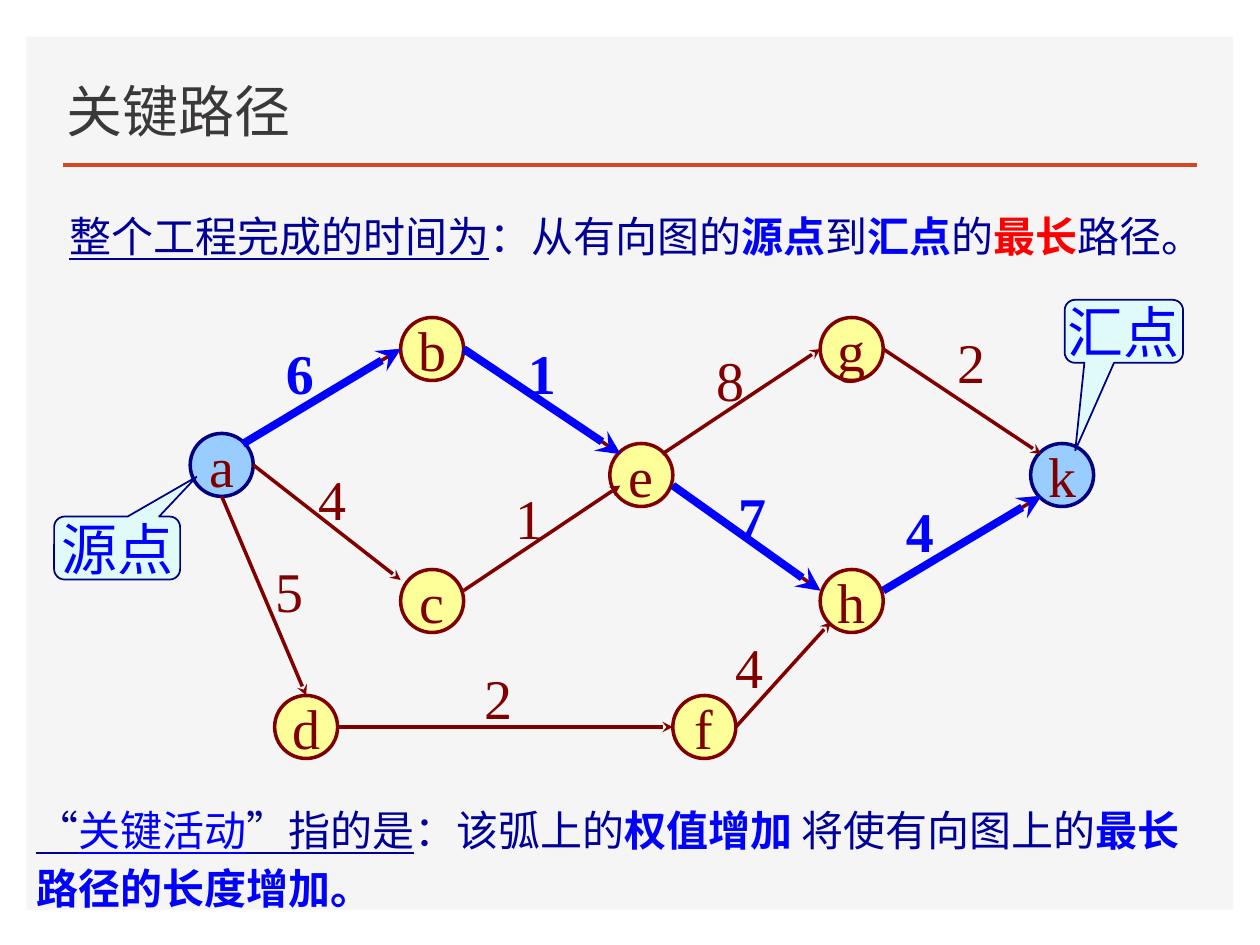
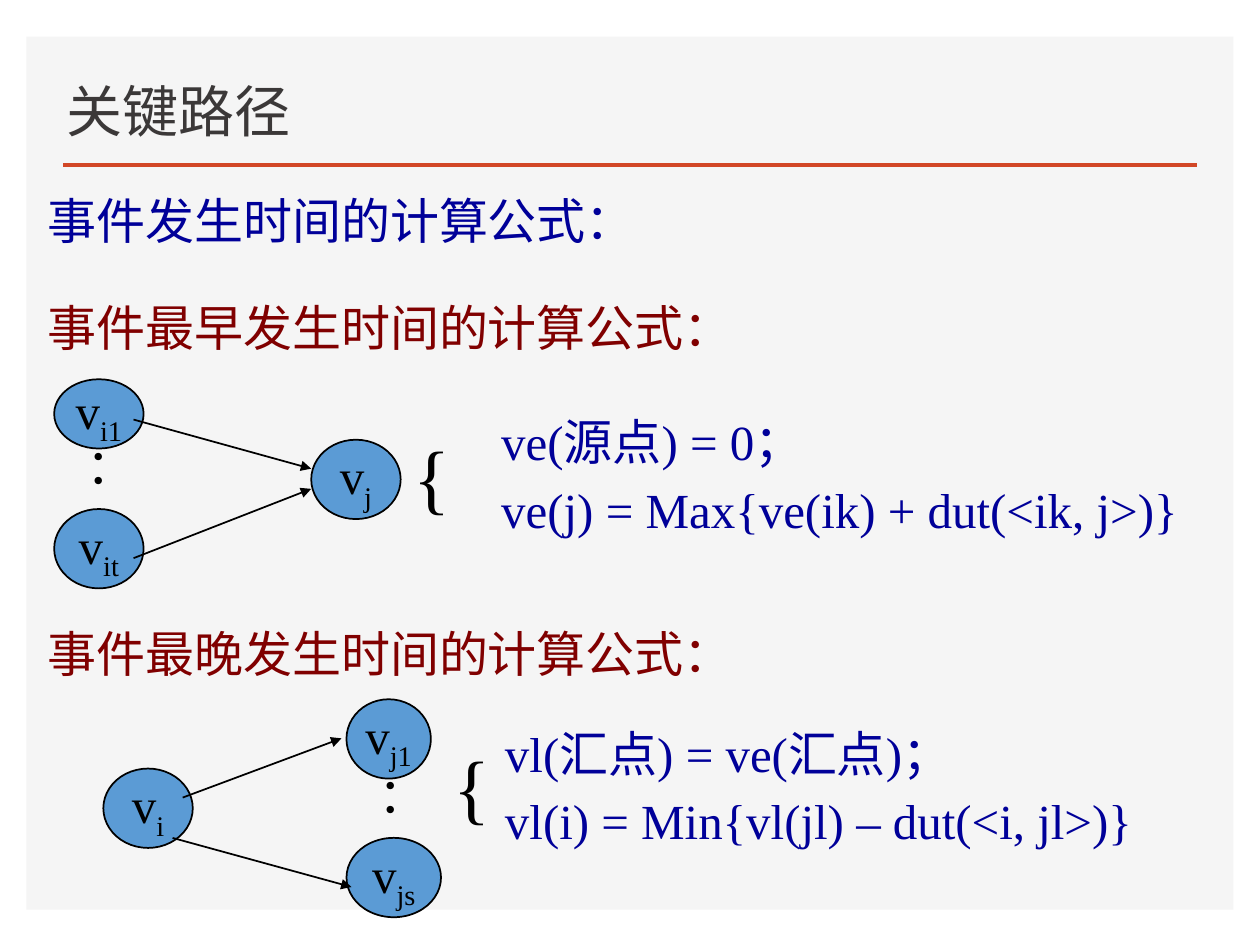
from lxml import etree
from pptx import Presentation
from pptx.dml.color import RGBColor
from pptx.enum.lang import MSO_LANGUAGE_ID
from pptx.enum.shapes import MSO_CONNECTOR, MSO_SHAPE
from pptx.enum.text import MSO_ANCHOR, MSO_AUTO_SIZE, PP_ALIGN
from pptx.oxml.ns import qn
from pptx.util import Inches, Pt

RECT = MSO_SHAPE.RECTANGLE
OVAL = MSO_SHAPE.OVAL
CALLOUT = MSO_SHAPE.ROUNDED_RECTANGULAR_CALLOUT
STRAIGHT = MSO_CONNECTOR.STRAIGHT
CHINESE = MSO_LANGUAGE_ID.SIMPLIFIED_CHINESE
CENTER, LEFT = PP_ALIGN.CENTER, PP_ALIGN.LEFT
MIDDLE, TOP, BOTTOM = MSO_ANCHOR.MIDDLE, MSO_ANCHOR.TOP, MSO_ANCHOR.BOTTOM
GROW, FIXED = MSO_AUTO_SIZE.SHAPE_TO_FIT_TEXT, MSO_AUTO_SIZE.NONE

SERIF, SANS = "Times New Roman", "Karla"
PANEL, ACCENT, TITLE = "F5F5F5", "D24726", "3B3838"
NAVY, INK, BLUE = "000080", "000099", "0000FF"
MAROON, RED, BLACK = "800000", "FF0000", "000000"
YELLOW, SKY, AQUA, STEEL = "FFFF99", "99CCFF", "CCFFFF", "5B9BD5"

NODE = 0.5
NODES = {
    "a": (1.51, 3.44), "b": (3.18, 2.52), "c": (3.18, 4.52),
    "d": (2.18, 5.52), "e": (4.84, 3.52), "f": (5.34, 5.52),
    "g": (6.51, 2.52), "h": (6.51, 4.52), "k": (8.18, 3.52),
}
ENDS = "ak"
PORTS = {
    "N": (3, 0), "E": (6, 3), "S": (3, 6), "W": (0, 3),
    "NE": (5, 1), "NW": (1, 1), "SW": (1, 5), "WNW": (0, 1),
    "ENE": (6, 2), "ESE": (6, 4), "W-": (0, 2), "WSW": (1, 4),
}
EDGES = [
    ("a", "NE", "b", "W", "6", (2.17, 2.64), True),
    ("a", "E", "c", "WNW", "4", (2.43, 3.64), False),
    ("c", "ENE", "e", "WSW", "1", (3.99, 3.79), False),
    ("b", "E", "e", "NW", "1", (4.09, 2.64), True),
    ("e", "NE", "g", "W", "8", (5.59, 2.69), False),
    ("g", "E", "k", "NW", "2", (7.5, 2.55), False),
    ("h", "ENE", "k", "SW", "4", (7.09, 3.89), True),
    ("e", "ESE", "h", "W-", "7", (5.76, 3.77), True),
    ("a", "S", "d", "N", "5", (2.09, 4.37), False),
    ("d", "E", "f", "W", "2", (3.75, 5.22), False),
    ("f", "E", "h", "SW", "4", (5.74, 4.97), False),
]


def rgb(value):
    """Turn a hex string into a colour."""
    return RGBColor.from_string(value)


def inches(*values):
    """Convert numbers to lengths in inches."""
    return [Inches(v) for v in values]


def write(tf, lines, size, font=SERIF, align=LEFT, spacing=None):
    """Fill a frame with lines, each a list of (text, colour, marks) runs."""
    for i, runs in enumerate(lines):
        p = tf.add_paragraph() if i else tf.paragraphs[0]
        p.alignment = align
        if spacing:
            p.line_spacing = spacing
        for text, color, marks in runs:
            r = p.add_run()
            r.text = text
            r.font.size, r.font.name = Pt(size), font
            r.font.color.rgb = rgb(color)
            r.font.language_id = CHINESE
            r.font.bold = "b" in marks
            r.font.underline = "u" in marks
            if "s" in marks:
                r._r.get_or_add_rPr().set("baseline", "-25000")


def add_text(s, at, lines, size, font=SERIF, wrap=True, spacing=None,
             anchor=TOP, fit=GROW):
    """Add a text box and return its frame."""
    tf = s.shapes.add_textbox(*inches(*at)).text_frame
    tf.word_wrap, tf.auto_size, tf.vertical_anchor = wrap, fit, anchor
    write(tf, lines, size, font, spacing=spacing)
    return tf


def add_shape(s, kind, at, fill, line=None, width=1, runs=(), size=32):
    """Add a flat preset shape with centred text."""
    sp = s.shapes.add_shape(kind, *inches(*at))
    sp.shadow.inherit = False
    sp.fill.solid()
    sp.fill.fore_color.rgb = rgb(fill)
    if line:
        sp.line.color.rgb = rgb(line)
        sp.line.width = Pt(width)
    else:
        sp.line.fill.background()
    if runs:
        sp.text_frame.word_wrap = False
        sp.text_frame.vertical_anchor = MIDDLE
        write(sp.text_frame, [runs], size, align=CENTER)
    return sp


def add_line(s, start, end, color, width, head=None):
    """Add a straight line with an optional arrowhead at its end."""
    c = s.shapes.add_connector(STRAIGHT, *inches(*start, *end))
    c.line.color.rgb = rgb(color)
    c.line.width = Pt(width)
    if head:
        etree.SubElement(c.line._get_or_add_ln(), qn("a:tailEnd"), type=head)
    etree.SubElement(c._element.spPr, qn("a:effectLst"))


def add_callout(s, at, text, tip):
    """Add a half transparent callout whose tail ends at tip."""
    sp = add_shape(s, CALLOUT, at, AQUA, NAVY, 1, [(text, BLUE, "")])
    sp.adjustments[0], sp.adjustments[1] = tip
    color = sp._element.spPr.find(qn("a:solidFill"))[0]
    etree.SubElement(color, qn("a:alpha"), val="50000")


def add_vertex(s, at, index):
    """Add an event circle named v with a subscript."""
    runs = [("v", BLACK, ""), (index, BLACK, "s")]
    add_shape(s, OVAL, at, STEEL, BLACK, 1, runs, 28)


def add_brace(s, at):
    """Add the brace in front of a pair of formulas."""
    tf = add_text(s, at, [[("{", BLACK, "")]], 44)
    tf.paragraphs[0].space_before = Pt(4)


def add_dots(s, x, y):
    """Add the vertical dots between two events."""
    add_text(s, (x, y, 0.6, 0.57), [[("：", BLACK, "")]], 28, wrap=False)


def port(node, side):
    """Return a point on a node, counted in sixths of its size."""
    return [v + n * NODE / 6 for v, n in zip(NODES[node], PORTS[side])]


def new_slide(prs):
    """Add a blank slide with the shared panel, rule and title."""
    s = prs.slides.add_slide(prs.slide_layouts[6])
    add_shape(s, RECT, (0.21, 0.29, 9.58, 6.93), PANEL)
    add_line(s, (0.5, 1.31), (9.5, 1.31), ACCENT, 2)
    add_text(s, (0.43, 0.49, 5.64, 0.7), [[("关键路径", TITLE, "")]], 32,
             SANS, anchor=BOTTOM, fit=FIXED)
    return s


def network_slide(prs):
    """Build the activity network with its critical path."""
    s = new_slide(prs)
    for name, (x, y) in NODES.items():
        fill, line = (SKY, NAVY) if name in ENDS else (YELLOW, MAROON)
        add_shape(s, OVAL, (x, y, NODE, NODE), fill, line, 2,
                  [(name, MAROON, "")])
    for a, leave, b, enter, weight, place, critical in EDGES:
        start, end = port(a, leave), port(b, enter)
        add_line(s, start, end, MAROON, 2, "stealth")
        if critical:
            add_line(s, start, end, BLUE, 4.5, "stealth")
        run = (weight, BLUE, "b") if critical else (weight, MAROON, "")
        add_text(s, (*place, 0.42, 0.63), [[run]], 32, wrap=False)
    add_callout(s, (0.43, 4.1, 1, 0.5), "源点", (0.63, -1.13))
    add_callout(s, (8.45, 2.38, 0.94, 0.5), "汇点", (-0.41, 1.89))
    add_text(s, (0.19, 6.28, 9.55, 1.03), [[
        ("“", INK, "u"), ("关键活动", BLUE, "u"), ("”指的是", INK, "u"),
        ("：该弧上的", INK, ""), ("权值增加 ", BLUE, "b"),
        ("将使有向图上的", INK, ""), ("最长路径的长度增加。", BLUE, "b"),
    ]], 24, spacing=1.15)
    add_text(s, (0.45, 1.54, 9.45, 0.59), [[
        ("整个工程完成的时间为", INK, "u"), ("：从有向图的", INK, ""),
        ("源点", BLUE, "b"), ("到", INK, ""), ("汇点", BLUE, "b"),
        ("的", INK, ""), ("最长", RED, "b"), ("路径。", INK, ""),
    ]], 24, spacing=1.2)


def formula_slide(prs):
    """Build the formulas for earliest and latest event times."""
    s = new_slide(prs)
    for y, text, color in [
        (1.39, "事件发生时间的计算公式：", INK),
        (2.24, "事件最早发生时间的计算公式：", MAROON),
        (4.83, "事件最晚发生时间的计算公式：", MAROON),
    ]:
        add_text(s, (0.28, y, 8.33, 0.64), [[(text, color, "")]], 28,
                 spacing=1.15)
    for at, index in [
        ((0.43, 3.01, 0.71, 0.55), "i1"), ((2.47, 3.49, 0.71, 0.63), "j"),
        ((0.43, 4.04, 0.71, 0.63), "it"), ((2.75, 5.55, 0.67, 0.63), "j1"),
        ((0.82, 6.1, 0.71, 0.63), "i"), ((2.75, 6.65, 0.75, 0.63), "js"),
    ]:
        add_vertex(s, at, index)
    for start, end in [
        ((1.06, 3.33), (2.47, 3.72)), ((1.06, 4.43), (2.47, 3.88)),
        ((1.45, 6.33), (2.71, 5.86)), ((1.37, 6.65), (2.79, 7.04)),
    ]:
        add_line(s, start, end, BLACK, 1, "triangle")
    add_dots(s, 0.59, 3.41)
    add_dots(s, 2.91, 6.02)
    add_brace(s, (3.18, 3.35, 0.45, 0.84))
    add_brace(s, (3.5, 5.81, 0.41, 0.84))
    for at, formulas in [
        ((3.88, 3.15, 6.1, 1.18),
         ("ve(源点) = 0；", "ve(j) = Max{ve(ik) + dut(<ik, j>)}")),
        ((3.91, 5.62, 5.23, 1.18),
         ("vl(汇点) = ve(汇点)；", "vl(i) = Min{vl(jl) – dut(<i, jl>)}")),
    ]:
        add_text(s, at, [[(f, INK, "")] for f in formulas], 28, spacing=1.15)


def main():
    """Build and save both slides."""
    prs = Presentation()
    prs.slide_width, prs.slide_height = inches(10, 7.5)
    network_slide(prs)
    formula_slide(prs)
    prs.save("out.pptx")


main()
